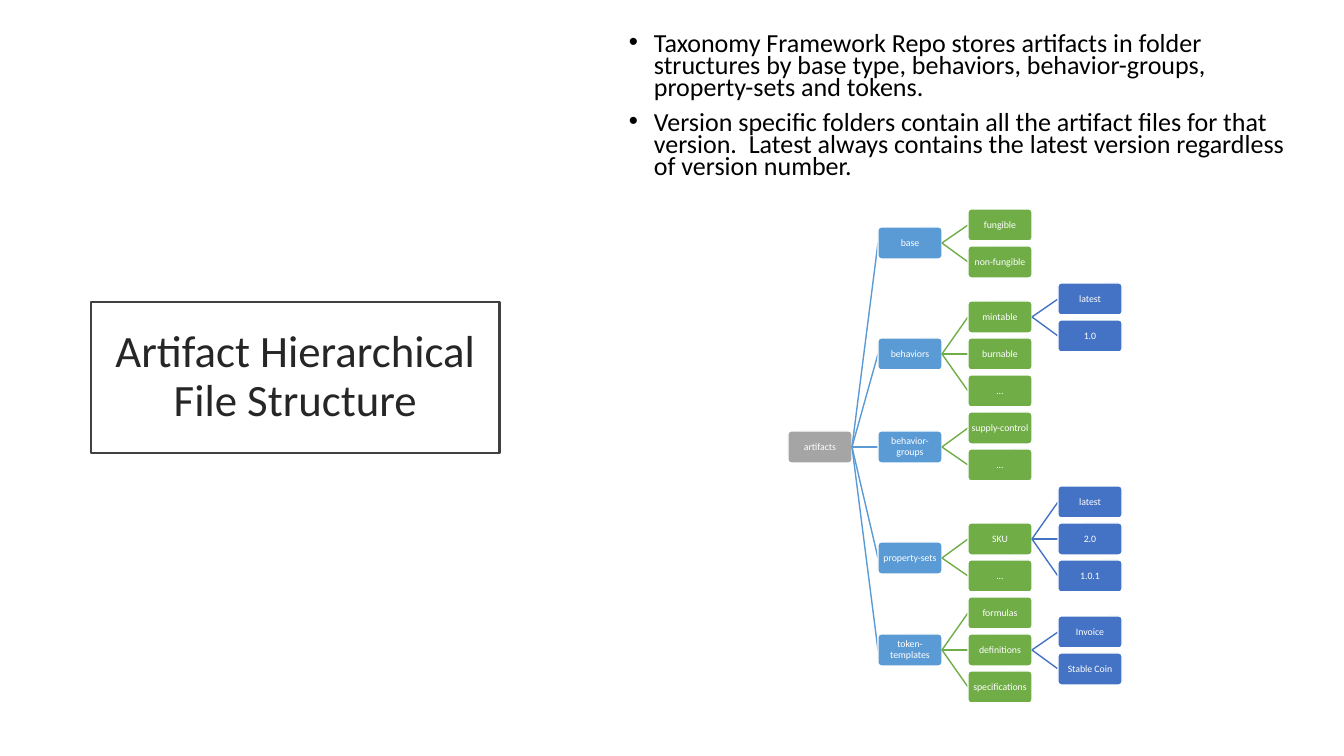
from dataclasses import dataclass
from typing import Optional

from lxml import etree
from pptx import Presentation
from pptx.dml.color import RGBColor
from pptx.enum.shapes import MSO_CONNECTOR as Connector, MSO_SHAPE as Shape
from pptx.enum.text import MSO_ANCHOR as Anchor, PP_ALIGN as Align
from pptx.oxml.ns import qn
from pptx.util import Emu, Pt

SLIDE_WIDTH, SLIDE_HEIGHT = 1344, 756
EMU_PER_PX = 12192000 / SLIDE_WIDTH
FONT = "Calibri"

TREE_LEFT, TREE_TOP = 788, 209
COLUMN_PITCH, ROW_PITCH = 90, 37
NODE_WIDTH, NODE_HEIGHT = 64, 32
LEVEL_COLORS = ["A5A5A5", "5B9BD5", "70AD47", "4472C4"]

BULLETS = [
    "Taxonomy Framework Repo stores artifacts in folder structures by base type, "
    "behaviors, behavior-groups, property-sets and tokens.",
    "Version specific folders contain all the artifact files for that version.  "
    "Latest always contains the latest version regardless of version number.",
]


@dataclass(frozen=True)
class Folder:
    """A leaf states its row; a parent sits midway between its outer children."""
    name: str
    leaf_row: float = 0
    children: tuple["Folder", ...] = ()

    @property
    def row(self) -> float:
        if not self.children:
            return self.leaf_row
        return (self.children[0].row + self.children[-1].row) / 2


def parent(name: str, *children: Folder) -> Folder:
    return Folder(name, children=children)


ARTIFACTS = parent(
    "artifacts",
    parent("base", Folder("fungible", 0), Folder("non-fungible", 1)),
    parent(
        "behaviors",
        parent("mintable", Folder("latest", 2), Folder("1.0", 3)),
        Folder("burnable", 3.5),
        Folder("...", 4.5),
    ),
    parent("behavior-groups", Folder("supply-control", 5.5), Folder("...", 6.5)),
    parent(
        "property-sets",
        parent("SKU", Folder("latest", 7.5), Folder("2.0", 8.5), Folder("1.0.1", 9.5)),
        Folder("...", 9.5),
    ),
    parent(
        "token-templates",
        Folder("formulas", 10.5),
        parent("definitions", Folder("Invoice", 11), Folder("Stable Coin", 12)),
        Folder("specifications", 12.5),
    ),
)


def px(length: int) -> Emu:
    return Emu(round(length * EMU_PER_PX))


def color(value: str) -> RGBColor:
    return RGBColor.from_string(value)


def style_font(paragraph, size: float, font_color: str) -> None:
    paragraph.font.name = FONT
    paragraph.font.size = Pt(size)
    paragraph.font.color.rgb = color(font_color)


def add_box(slide, preset, left: int, top: int, width: int, height: int, text: str,
            fill: str, line: str, line_width: float, size: float, font_color: str):
    shape = slide.shapes.add_shape(preset, px(left), px(top), px(width), px(height))
    shape.shadow.inherit = False
    shape.fill.solid()
    shape.fill.fore_color.rgb = color(fill)
    shape.line.color.rgb = color(line)
    shape.line.width = Pt(line_width)
    frame = shape.text_frame
    frame.word_wrap = True
    frame.vertical_anchor = Anchor.MIDDLE
    paragraph = frame.paragraphs[0]
    paragraph.text = text
    paragraph.alignment = Align.CENTER
    paragraph.line_spacing = 0.9
    style_font(paragraph, size, font_color)
    return shape


def add_bullets(slide) -> None:
    box = slide.shapes.add_textbox(px(619), px(27), px(693), px(161))
    frame = box.text_frame
    frame.word_wrap = True
    frame.vertical_anchor = Anchor.MIDDLE
    for index, text in enumerate(BULLETS):
        paragraph = frame.add_paragraph() if index else frame.paragraphs[0]
        paragraph.text = text
        paragraph.line_spacing = 0.7
        paragraph.space_before = Pt(10 if index else 0)
        properties = paragraph._p.get_or_add_pPr()
        properties.set("marL", str(px(25)))
        properties.set("indent", str(-px(25)))
        etree.SubElement(properties, qn("a:buFont"), typeface="Arial")
        etree.SubElement(properties, qn("a:buChar"), char="•")
        style_font(paragraph, 18.6, "000000")


def add_branch(slide, parent_node, line_color: str):
    """Start a connector at the parent's right side; the child joins it later."""
    branch = slide.shapes.add_connector(Connector.STRAIGHT, 0, 0, 0, 0)
    branch.begin_connect(parent_node, 3)
    branch.line.color.rgb = color(line_color)
    branch.line.width = Pt(1)
    etree.SubElement(branch._element.spPr, qn("a:effectLst"))
    return branch


def add_folder(slide, folder: Folder, level: int = 0, parent_node: Optional[object] = None) -> None:
    """Draw a folder and, recursively, everything below it."""
    level_color = LEVEL_COLORS[level]
    branch = add_branch(slide, parent_node, level_color) if parent_node else None
    node = add_box(
        slide, Shape.ROUNDED_RECTANGLE,
        TREE_LEFT + level * COLUMN_PITCH, TREE_TOP + int(folder.row * ROW_PITCH),
        NODE_WIDTH, NODE_HEIGHT, folder.name, level_color, "FFFFFF", 1, 7, "FFFFFF",
    )
    node.adjustments[0] = 0.1
    frame = node.text_frame
    frame.margin_left = frame.margin_right = frame.margin_top = frame.margin_bottom = 0
    if branch:
        branch.end_connect(node, 1)
    for child in folder.children:
        add_folder(slide, child, level + 1, node)


def main() -> None:
    presentation = Presentation()
    presentation.slide_width = px(SLIDE_WIDTH)
    presentation.slide_height = px(SLIDE_HEIGHT)
    slide = presentation.slides.add_slide(presentation.slide_layouts[6])
    add_box(slide, Shape.RECTANGLE, 91, 302, 409, 151, "Artifact Hierarchical File Structure",
            "FFFFFF", "404040", 2, 32, "262626")
    add_bullets(slide)
    add_folder(slide, ARTIFACTS)
    presentation.save("out.pptx")


if __name__ == "__main__":
    main()
